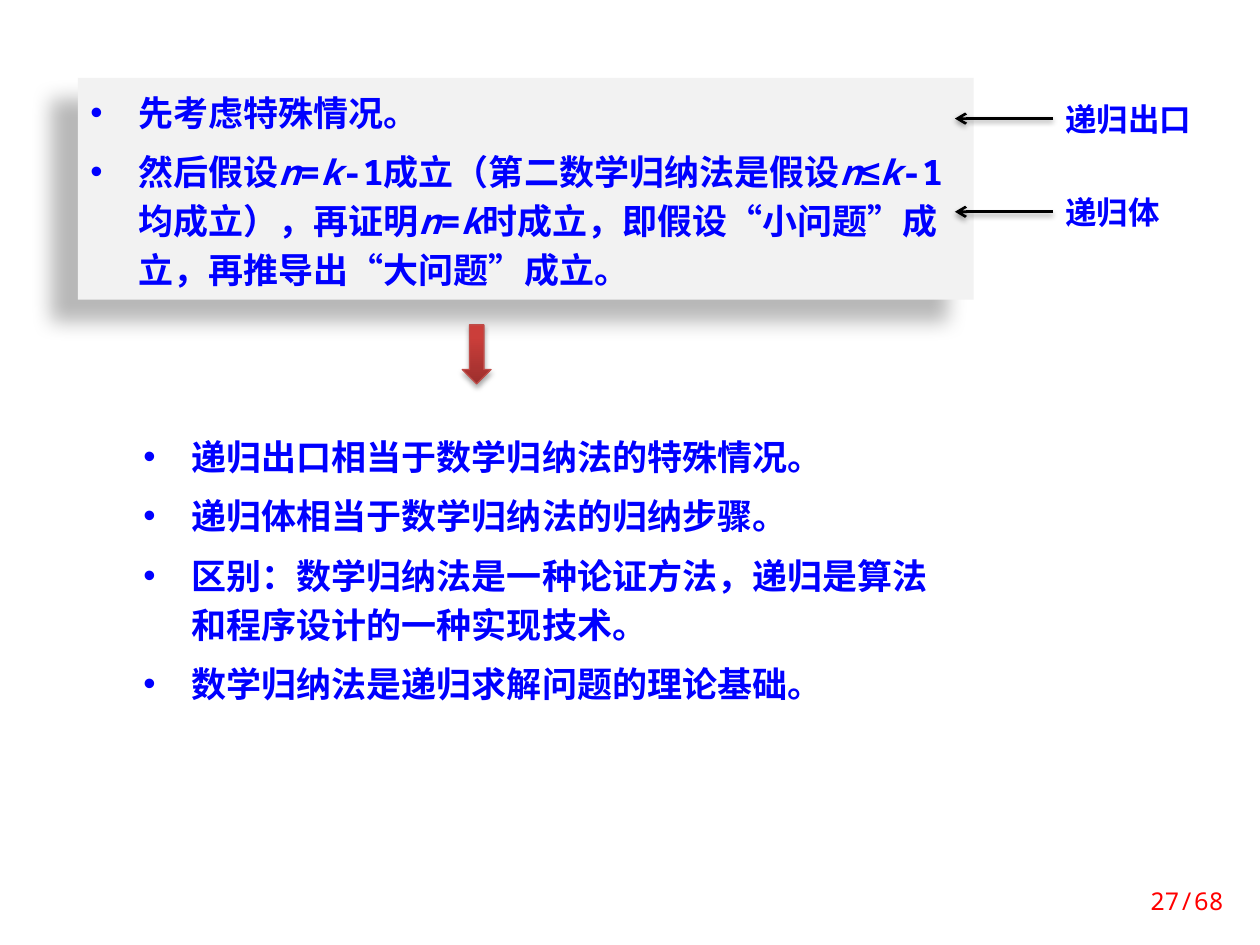
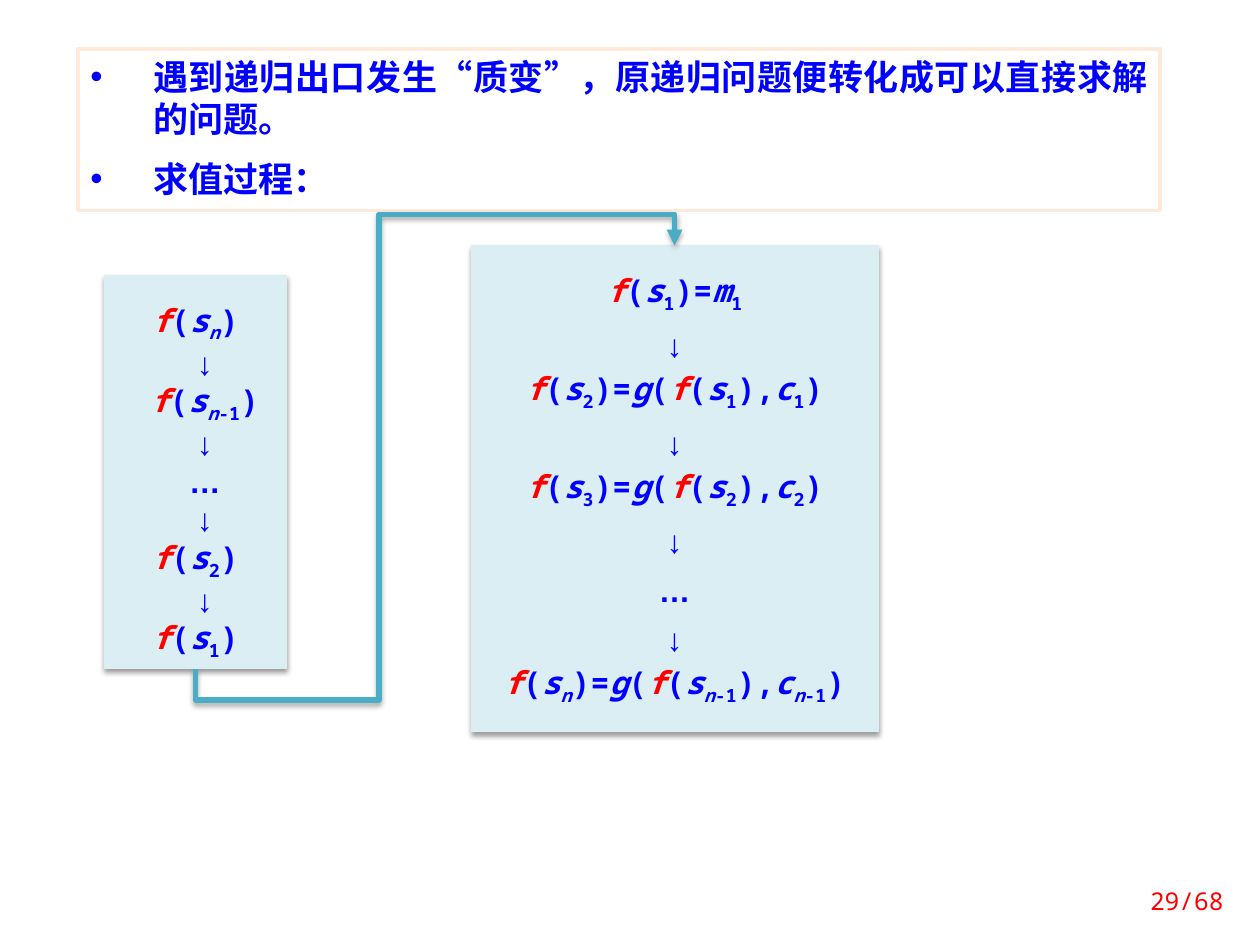
from itertools import groupby

from lxml import etree
from pptx import Presentation
from pptx.dml.color import RGBColor
from pptx.enum.shapes import MSO_CONNECTOR, MSO_SHAPE
from pptx.enum.text import MSO_ANCHOR, MSO_AUTO_SIZE, PP_ALIGN
from pptx.oxml.ns import qn
from pptx.util import Cm, Pt

ELBOW, STRAIGHT = MSO_CONNECTOR.ELBOW, MSO_CONNECTOR.STRAIGHT
RECTANGLE, DOWN_ARROW = MSO_SHAPE.RECTANGLE, MSO_SHAPE.DOWN_ARROW
TOP, MIDDLE = MSO_ANCHOR.TOP, MSO_ANCHOR.MIDDLE
LEFT, CENTER, RIGHT, JUSTIFY = PP_ALIGN.LEFT, PP_ALIGN.CENTER, PP_ALIGN.RIGHT, PP_ALIGN.JUSTIFY

COLORS = {
    "text": "0000FF", "function": "FF0000", "page": "FF0000",
    "panel": "F2F2F2", "white": "FFFFFF", "frame": "FDEADA",
    "formula": "DBEEF4", "link": "4BACC6", "arrow": "000000",
    "down_edge": "BF4C48", "down_dark": "9C2F2D", "down_light": "CB3E3A",
}
MONO, SYMBOL = "Noto Sans Mono", "Arial"
SYMBOL_CHARS = "≤…"

# Shadows: opacity %, blur pt, distance pt, direction in degrees
DEEP, SOFT, MEDIUM = (28, 11.8, 19.7, 141), (38, 3.1, 1.6, 90), (35, 3.1, 1.8, 90)

# Latin letters are italic, f is red, and text between underscores is subscript.
INDUCTION = [
    "先考虑特殊情况。",
    "然后假设n=k-1成立（第二数学归纳法是假设n≤k-1均成立），再证明n=k时成立，"
    "即假设“小问题”成立，再推导出“大问题”成立。",
]
RECURSION = [
    "递归出口相当于数学归纳法的特殊情况。",
    "递归体相当于数学归纳法的归纳步骤。",
    "区别：数学归纳法是一种论证方法，递归是算法和程序设计的一种实现技术。",
    "数学归纳法是递归求解问题的理论基础。",
]
PART_LABELS = [("递归出口", 1.88), ("递归体", 3.76)]
EVALUATION = [
    "遇到递归出口发生“质变”，原递归问题便转化成可以直接求解的问题。",
    "求值过程：",
]
DESCENT = ["f(s_n_)", "f(s_n-1_)", "…", "f(s_2_)", "f(s_1_)"]
ASCENT = [
    "f(s_1_)=m_1_",
    "f(s_2_)=g(f(s_1_),c_1_)",
    "f(s_3_)=g(f(s_2_),c_2_)",
    "…",
    "f(s_n_)=g(f(s_n-1_),c_n-1_)",
]
SHIFTED = ("↓", "…", "f(s_n-1_)")
PAGES = ["27/68", "29/68"]

# Places in cm: left, top, width, height
INDUCTION_AT = (1.57, 1.57, 18.06, 4.47)
RECURSION_AT = (2.39, 8.33, 16.87, 6.22)
DOWN_AT = (9.32, 6.55, 0.58, 1.19)
LABEL_LEFT, LABEL_WIDTH, LABEL_HEIGHT = 21.23, 3.38, 1.02
POINTER_END = 19.25
EVALUATION_AT = (1.57, 0.99, 21.82, 3.25)
DESCENT_AT = (2.11, 5.56, 3.66, 7.92)
ASCENT_AT = (9.5, 4.95, 8.2, 9.8)
PAGE_AT = (22.43, 17.65, 2.49, 1.02)
INSETS = (0.25, 0.13, 0.25, 0.13)
LINE_PITCH = Pt(28)


def rgb(name):
    return RGBColor.from_string(COLORS[name])


def set_all(target, values):
    for name, value in values.items():
        setattr(target, name, value)


def cm_box(place):
    return [Cm(round(length, 2)) for length in place]


def set_shadow(shape, shadow=None):
    """Replace the theme shadow; without values the part has none."""
    properties = shape.element.spPr
    effects = etree.SubElement(properties, qn("a:effectLst"))
    if shadow:
        opacity, blur, distance, direction = shadow
        outer = etree.SubElement(
            effects, qn("a:outerShdw"), blurRad=str(Pt(blur)), dist=str(Pt(distance)),
            dir=str(direction * 60000), algn="t", rotWithShape="0")
        color = etree.SubElement(outer, qn("a:srgbClr"), val="000000")
        etree.SubElement(color, qn("a:alpha"), val=str(opacity * 1000))


def paint(shape, fill, edge=None, width=0.75, shadow=None):
    shape.fill.solid()
    shape.fill.fore_color.rgb = rgb(fill)
    if edge:
        shape.line.color.rgb = rgb(edge)
        shape.line.width = Pt(width)
    else:
        shape.line.fill.background()
    set_shadow(shape, shadow)


def marked_runs(text):
    """Yield (characters, (red, italic, subscript, symbol)) for marked text."""
    styled = []
    for index, part in enumerate(text.split("_")):
        for char in part:
            styled.append((char, (char == "f", char.isascii() and char.isalpha(),
                                  index % 2 == 1, char in SYMBOL_CHARS)))
    for style, group in groupby(styled, key=lambda item: item[1]):
        yield "".join(char for char, _ in group), style


def write(paragraph, text, size, color="text", bold=True):
    for characters, (red, italic, subscript, symbol) in marked_runs(text):
        run = paragraph.add_run()
        run.text = characters
        set_all(run.font, {"size": Pt(size), "bold": bold, "italic": italic,
                           "name": SYMBOL if symbol else MONO})
        run.font.color.rgb = rgb("function" if red else color)
        if subscript:
            run.font._element.set("baseline", "-25000")


def paragraphs(frame, lines):
    """Pair each line with its paragraph, adding paragraphs after the first."""
    for index, line in enumerate(lines):
        yield index, frame.add_paragraph() if index else frame.paragraphs[0], line


def set_frame(frame, anchor=TOP, insets=INSETS):
    left, top, right, bottom = cm_box(insets)
    set_all(frame, {"word_wrap": True, "auto_size": MSO_AUTO_SIZE.NONE,
                    "vertical_anchor": anchor, "margin_left": left, "margin_top": top,
                    "margin_right": right, "margin_bottom": bottom})


def fill_list(body, items, place, indent, gap, align=LEFT, pitch=1.0, insets=INSETS):
    set_all(body, dict(zip(("left", "top", "width", "height"), cm_box(place))))
    set_frame(body.text_frame, insets=insets)
    for index, paragraph, item in paragraphs(body.text_frame, items):
        properties = paragraph._p.get_or_add_pPr()
        properties.set("marL", str(Cm(indent)))
        properties.set("indent", str(-Cm(indent)))
        etree.SubElement(properties, qn("a:buFont"), typeface=SYMBOL)
        etree.SubElement(properties, qn("a:buChar"), char="•")
        set_all(paragraph, {"alignment": align, "line_spacing": pitch,
                            "space_before": Pt(gap if index else 0)})
        write(paragraph, item, 20)


def add_label(slide, text, place, size, anchor=TOP, align=LEFT, **style):
    frame = slide.shapes.add_textbox(*cm_box(place)).text_frame
    set_frame(frame, anchor)
    frame.paragraphs[0].alignment = align
    write(frame.paragraphs[0], text, size, **style)


def add_formulas(slide, steps, place, insets, pitch=1.0, shifted=()):
    panel = slide.shapes.add_shape(RECTANGLE, *cm_box(place))
    paint(panel, "formula", "formula", shadow=SOFT)
    set_frame(panel.text_frame, insets=insets)
    lines = "|↓|".join(steps).split("|")
    for _, paragraph, line in paragraphs(panel.text_frame, lines):
        set_all(paragraph, {"alignment": CENTER, "line_spacing": pitch})
        if line in shifted:
            paragraph._p.get_or_add_pPr().set("marL", str(Cm(0.38)))
        write(paragraph, line, 18)
    return panel


def style_arrow(arrow, color, width, head, shadow):
    arrow.line.color.rgb = rgb(color)
    arrow.line.width = Pt(width)
    etree.SubElement(arrow.element.spPr.find(qn("a:ln")), qn("a:tailEnd"), type=head)
    set_shadow(arrow, shadow)


def add_return_path(slide, descent, ascent):
    """Lead from under the descent, between the panels, to the top of the ascent."""
    path = slide.shapes.add_connector(ELBOW, 0, 0, 0, 0)
    path.begin_connect(descent, 2)
    path.end_connect(ascent, 0)
    start_x, start_y = descent.left + descent.width // 2, descent.top + descent.height
    end_x, end_y = ascent.left + ascent.width // 2, ascent.top
    run, rise = end_x - start_x, start_y - end_y
    # The path is turned by a quarter, so its width is the rise.
    set_all(path, {"left": (start_x + end_x - rise) // 2,
                   "top": (start_y + end_y - run) // 2, "width": rise, "height": run})
    properties = path.element.spPr
    for name, value in {"rot": "5400000", "flipH": "1", "flipV": "1"}.items():
        properties.find(qn("a:xfrm")).set(name, value)
    geometry = properties.find(qn("a:prstGeom"))
    geometry.set("prst", "bentConnector5")
    guides = geometry.find(qn("a:avLst"))
    for number, share in enumerate((-7400, 38300, 107400), 1):
        etree.SubElement(guides, qn("a:gd"), name=f"adj{number}", fmla=f"val {share}")
    style_arrow(path, "link", 3, "triangle", MEDIUM)


def add_slide(deck, layout, page):
    slide = deck.slides.add_slide(deck.slide_layouts[layout])
    title = slide.shapes.title.element
    title.getparent().remove(title)
    add_label(slide, page, PAGE_AT, 14, MIDDLE, RIGHT, color="page", bold=False)
    return slide


def build_comparison(deck):
    slide = add_slide(deck, 3, PAGES[0])
    induction, recursion = slide.placeholders[1], slide.placeholders[2]
    spaced = {"indent": 0.97, "gap": 6, "pitch": LINE_PITCH}
    fill_list(induction, INDUCTION, INDUCTION_AT, **spaced)
    paint(induction, "panel", shadow=DEEP)
    fill_list(recursion, RECURSION, RECURSION_AT, insets=(0.5, 0.3, 0.25, 0.3), **spaced)
    paint(recursion, "white")

    for label, top in PART_LABELS:
        add_label(slide, label, (LABEL_LEFT, top, LABEL_WIDTH, LABEL_HEIGHT), 18)
        middle = top + LABEL_HEIGHT / 2
        pointer = slide.shapes.add_connector(
            STRAIGHT, *cm_box((LABEL_LEFT, middle, POINTER_END, middle)))
        style_arrow(pointer, "arrow", 1.5, "arrow", SOFT)

    down = slide.shapes.add_shape(DOWN_ARROW, *cm_box(DOWN_AT))
    paint(down, "down_light", "down_edge", shadow=MEDIUM)
    down.fill.gradient()
    down.fill.gradient_angle = 90
    for stop, color, position in zip(down.fill.gradient_stops,
                                     ("down_dark", "down_light"), (0, 0.8)):
        stop.color.rgb = rgb(color)
        stop.position = position


def build_evaluation(deck):
    slide = add_slide(deck, 1, PAGES[1])
    body = slide.placeholders[1]
    fill_list(body, EVALUATION, EVALUATION_AT, indent=1.27, gap=10, align=JUSTIFY)
    paint(body, "white", "frame", 2)
    ascent = add_formulas(slide, ASCENT, ASCENT_AT, (0.25, 0.4, 0.25, 0.5), LINE_PITCH)
    descent = add_formulas(slide, DESCENT, DESCENT_AT, (0.25, 0.5, 0.25, 0.5),
                           shifted=SHIFTED)
    add_return_path(slide, descent, ascent)


def main():
    deck = Presentation()
    deck.slide_width, deck.slide_height = Cm(25.4), Cm(19.05)
    build_comparison(deck)
    build_evaluation(deck)
    deck.save("out.pptx")


if __name__ == "__main__":
    main()
